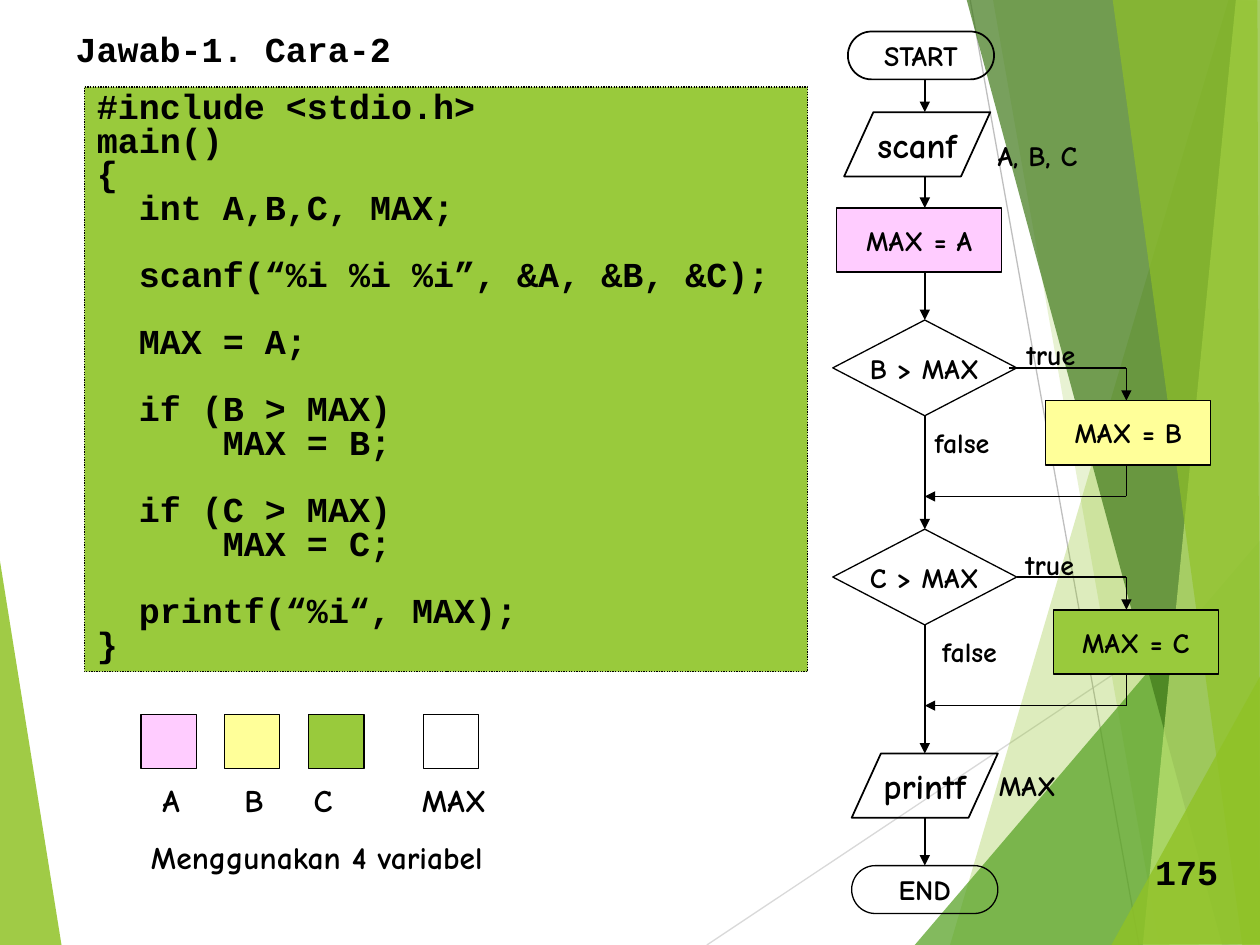
import pptx
import pptx.dml.color
import pptx.enum.dml
import pptx.enum.shapes
import pptx.enum.text
import pptx.oxml
import pptx.oxml.ns
import pptx.util
from dataclasses import dataclass

Inches = pptx.util.Inches
Pt = pptx.util.Pt
RGB = pptx.dml.color.RGBColor.from_string
Shape = pptx.enum.shapes.MSO_SHAPE
Align = pptx.enum.text.PP_ALIGN
Anchor = pptx.enum.text.MSO_ANCHOR
AutoSize = pptx.enum.text.MSO_AUTO_SIZE


@dataclass
class Theme:
    ink: str = "000000"
    pink: str = "FFCCFF"
    yellow: str = "FFFF99"
    green: str = "99CA3C"
    leaf: str = "90C226"
    grass: str = "54A021"
    forest: str = "3F7819"
    lime: str = "C0E474"
    pale_gray: str = "D9D9D9"
    gray: str = "BFBFBF"
    code_font: str = "Courier New"
    hand_font: str = "Comic Neue"
    large: int = 20
    medium: int = 18
    small: int = 16
    code_pitch: float = 19.2
    thin: float = 0.75
    line: float = 1


theme = Theme()


def write_line(para, text, font, size, align=Align.LEFT):
    para.alignment = align
    para.space_before = Pt(0)
    span = para.add_run()
    span.text = text
    span.font.name = font
    span.font.size = Pt(size)
    span.font.bold = True
    span.font.color.rgb = RGB(theme.ink)


def draw_line(x1, y1, x2, y2, arrow=False, color=theme.ink, width=theme.line):
    connector = page.shapes.add_connector(
        pptx.enum.shapes.MSO_CONNECTOR.STRAIGHT,
        Inches(x1), Inches(y1), Inches(x2), Inches(y2))
    connector.line.color.rgb = RGB(color)
    connector.line.width = Pt(width)
    properties = connector.element.spPr
    if arrow:
        tail = pptx.oxml.parse_xml(
            f'<a:tailEnd {pptx.oxml.ns.nsdecls("a")} type="triangle"/>')
        connector.line._get_or_add_ln().append(tail)
    properties.append(pptx.oxml.parse_xml(
        f'<a:effectLst {pptx.oxml.ns.nsdecls("a")}/>'))


deck = pptx.Presentation()
deck.slide_width = Inches(10)
deck.slide_height = Inches(7.5)
page = deck.slides.add_slide(deck.slide_layouts[5])

draw_line(5.61, 7.5, 10.01, 4.57, color=theme.pale_gray, width=theme.thin)
draw_line(7.7, 0, 9.04, 7.5, color=theme.gray, width=theme.thin)

facets = [
    (theme.leaf, 85, [(-0.01, 4.39), (0.49, 7.51), (-0.01, 7.5)]),
    (theme.leaf, 30, [(9.75, 0), (7.54, 7.5), (10.02, 7.51), (10.01, 0.01)]),
    (theme.leaf, 20, [(7.88, -0.01), (9.2, 7.5), (10.01, 7.5), (10.01, -0.01)]),
    (theme.grass, 72, [(7.26, 7.5), (10, 4.29), (10.01, 7.5)]),
    (theme.forest, 70, [(7.67, -0.01), (9.7, 7.5), (10.01, 7.49), (10.01, -0.01)]),
    (theme.lime, 70, [(9.81, -0.01), (9.07, 7.5), (10.01, 7.5), (10, -0.01)]),
    (theme.leaf, 65, [(8.83, -0.01), (9.86, 7.5), (10, 7.5), (9.98, -0.01)]),
    (theme.leaf, 80, [(8.82, 7.5), (10.01, 5.35), (10.01, 7.49)]),
]
for color, opacity, corners in facets:
    points = [(Inches(x), Inches(y)) for x, y in corners]
    builder = page.shapes.build_freeform(*points[0])
    builder.add_line_segments(points[1:], close=True)
    facet = builder.convert_to_shape()
    facet.shadow.inherit = False
    facet.fill.solid()
    facet.fill.fore_color.rgb = RGB(color)
    facet.line.fill.background()
    tint = facet.element.spPr.find(".//" + pptx.oxml.ns.qn("a:srgbClr"))
    tint.append(pptx.oxml.parse_xml(
        f'<a:alpha {pptx.oxml.ns.nsdecls("a")} val="{opacity * 1000}"/>'))

title = page.shapes.title
title.left, title.top = Inches(0.5), Inches(0.17)
title.width, title.height = Inches(2.8), Inches(0.44)
title.text_frame.word_wrap = False
title.text_frame.auto_size = AutoSize.NONE
title.text_frame.vertical_anchor = Anchor.TOP
title.text_frame.margin_right = Inches(0)
write_line(title.text_frame.paragraphs[0], "Jawab-1. Cara-2", theme.code_font, theme.large)

code_blocks = [
    ["#include <stdio.h>", "main()", "{", "  int A,B,C, MAX;"],
    ["  scanf(“%i %i %i”, &A, &B, &C);"],
    ["  MAX = A;"],
    ["  if (B > MAX)", "      MAX = B;"],
    ["  if (C > MAX)", "      MAX = C;"],
    ["  printf(“%i“, MAX);", "}"],
]
code_box = page.shapes.add_shape(
    Shape.RECTANGLE, Inches(0.67), Inches(0.69), Inches(5.74), Inches(4.64))
code_box.shadow.inherit = False
code_box.fill.solid()
code_box.fill.fore_color.rgb = RGB(theme.green)
code_box.line.color.rgb = RGB(theme.ink)
code_box.line.width = Pt(theme.thin)
code_box.line.dash_style = pptx.enum.dml.MSO_LINE.ROUND_DOT
frame = code_box.text_frame
frame.word_wrap = True
frame.vertical_anchor = Anchor.TOP
for block_index, block in enumerate(code_blocks):
    for line_index, code in enumerate(block):
        first = block_index == 0 and line_index == 0
        para = frame.paragraphs[0] if first else frame.add_paragraph()
        write_line(para, code, theme.code_font, theme.large)
        para.line_spacing = Pt(theme.code_pitch)
        if block_index and line_index == 0:
            para.space_before = Pt(theme.code_pitch)

nodes = [
    (Shape.FLOWCHART_TERMINATOR, "START", 6.73, 0.25, 1.16, 0.38, None, theme.small, theme.line),
    (Shape.FLOWCHART_DATA, "scanf", 6.7, 0.89, 1.16, 0.51, None, theme.large, theme.line),
    (Shape.RECTANGLE, "MAX = A", 6.64, 1.65, 1.31, 0.51, theme.pink, theme.small, theme.thin),
    (Shape.FLOWCHART_DATA, "printf", 6.76, 5.98, 1.16, 0.51, None, theme.large, theme.line),
    (Shape.FLOWCHART_TERMINATOR, "END", 6.76, 6.87, 1.16, 0.38, None, theme.small, theme.thin),
]
labels = [
    ("Menggunakan 4 variabel", 1.1, 6.6, 2.84, 0.4, theme.hand_font, theme.medium),
    ("A, B, C", 7.82, 1.05, 0.83, 0.37, theme.hand_font, theme.small),
    ("MAX", 7.83, 6.05, 0.66, 0.37, theme.hand_font, theme.small),
    ("175", 9.07, 6.7, 0.7, 0.44, theme.code_font, theme.large),
]

variables = [
    ("A", 1.12, theme.pink, 1.19, 0.34),
    ("B", 1.78, theme.yellow, 1.84, 0.35),
    ("C", 2.45, theme.green, 2.39, 0.35),
    ("MAX", 3.36, None, 3.25, 0.71),
]
for name, left, color, label_left, label_width in variables:
    nodes.append((Shape.RECTANGLE, "", left, 5.67, 0.44, 0.43, color, theme.small, theme.thin))
    labels.append((name, label_left, 6.15, label_width, 0.4, theme.hand_font, theme.medium))

trunk, side = 7.34, 8.94
branches = [
    ("B", 2.54, 8.01, 8.3, theme.yellow, (8.05, 2.63), (7.32, 3.33)),
    ("C", 4.2, 8.07, 8.36, theme.green, (8.04, 4.3), (7.38, 4.99)),
]
for name, top, exit_x, box_left, color, true_at, false_at in branches:
    middle, box_top, merge = top + 0.38, top + 0.64, top + 1.4
    nodes.append((Shape.FLOWCHART_DECISION, f"{name} > MAX", 6.61, top, 1.46, 0.76,
                  None, theme.small, theme.thin))
    nodes.append((Shape.RECTANGLE, f"MAX = {name}", box_left, box_top, 1.31, 0.51,
                  color, theme.small, theme.thin))
    labels.append(("true", *true_at, 0.58, 0.37, theme.hand_font, theme.small))
    labels.append(("false", *false_at, 0.64, 0.37, theme.hand_font, theme.small))
    draw_line(exit_x, middle, side, middle)
    draw_line(side, middle, side, box_top, arrow=True)
    draw_line(side, box_top + 0.51, side, merge)
    draw_line(side, merge, trunk, merge, arrow=True)

for start, end in [(0.63, 0.89), (1.4, 1.65), (2.16, 2.54), (3.3, 4.2), (4.96, 5.98), (6.49, 6.87)]:
    draw_line(trunk, start, trunk, end, arrow=True)

for kind, text, left, top, width, height, color, size, outline in nodes:
    node = page.shapes.add_shape(kind, Inches(left), Inches(top), Inches(width), Inches(height))
    node.shadow.inherit = False
    if color:
        node.fill.solid()
        node.fill.fore_color.rgb = RGB(color)
    else:
        node.fill.background()
    node.line.color.rgb = RGB(theme.ink)
    node.line.width = Pt(outline)
    if text:
        node.text_frame.word_wrap = False
        node.text_frame.vertical_anchor = Anchor.MIDDLE
        write_line(node.text_frame.paragraphs[0], text, theme.hand_font, size, Align.CENTER)

for text, left, top, width, height, font, size in labels:
    box = page.shapes.add_textbox(Inches(left), Inches(top), Inches(width), Inches(height))
    box.text_frame.word_wrap = False
    box.text_frame.auto_size = AutoSize.NONE
    box.text_frame.margin_right = Inches(0)
    write_line(box.text_frame.paragraphs[0], text, font, size)

deck.save("out.pptx")
